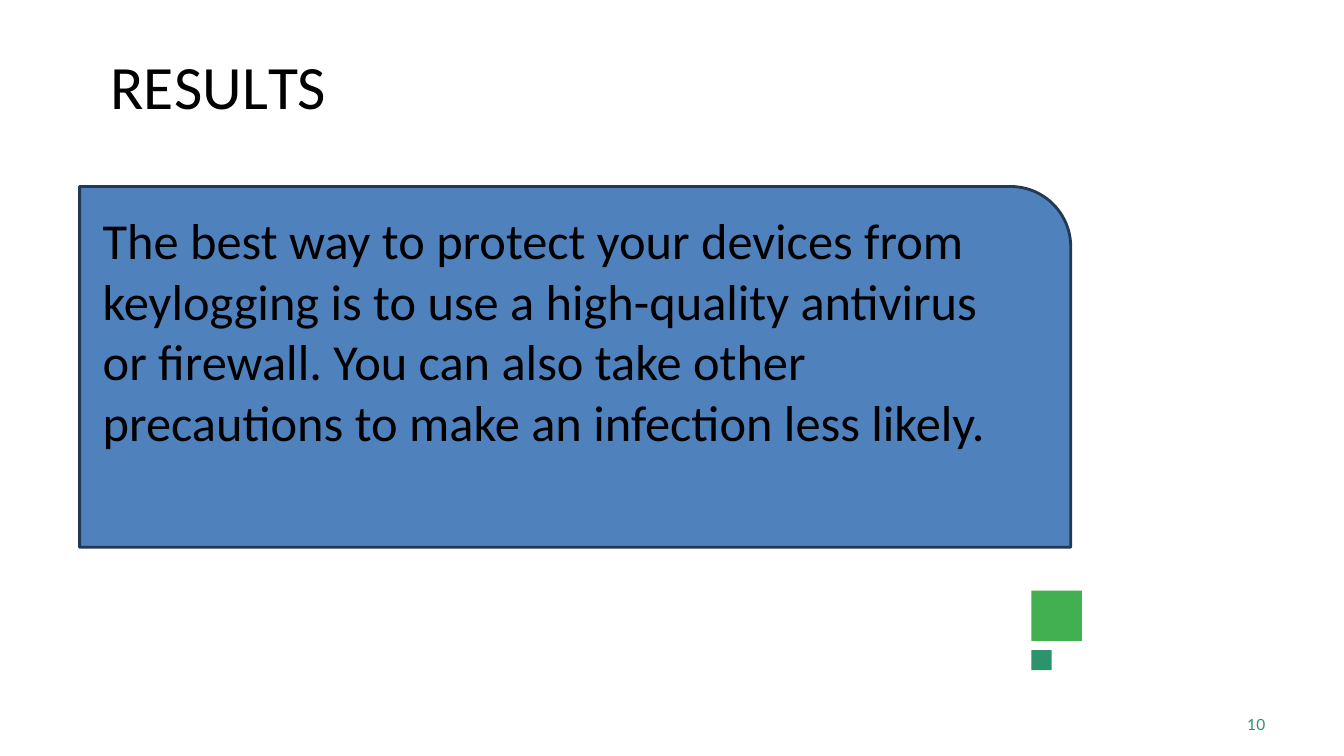
from pptx import Presentation
from pptx.dml.color import RGBColor
from pptx.enum.shapes import MSO_SHAPE
from pptx.enum.text import MSO_ANCHOR, PP_ALIGN
from pptx.util import Inches, Pt

# Content: title runs carry their letter spacing in points
TITLE = [("R", 0), ("E", -0.4), ("S", 0.1), ("U", -0.3), ("L", -4), ("TS", 0)]
BODY = [("The best way to protect your devices from keylogging is to use a "
         "high-quality antivirus or firewall. You can also take other "
         "precautions to make an infection less likely.", 0)]
PAGE = [("10", 0.1)]

# Accent squares: left, top, side, colour
SQUARES = [(10.23, 5.86, 0.5, "42AF51"), (10.23, 6.45, 0.2, "2D936B")]
PANEL = (0.79, 1.85, 9.83, 3.58)


def color(value):
    return RGBColor.from_string(value)


def add_block(kind, box, fill, line=None):
    sp = s.shapes.add_shape(kind, *map(Inches, box))
    sp.shadow.inherit = False
    sp.fill.solid()
    sp.fill.fore_color.rgb = color(fill)
    if line:
        sp.line.color.rgb = color(line)
        sp.line.width = Pt(2)
    else:
        sp.line.fill.background()


def add_text(box, runs, font, size, ink, margins, before=0):
    tf = s.shapes.add_textbox(*map(Inches, box)).text_frame
    tf.word_wrap = True
    tf.margin_left, tf.margin_top, tf.margin_right, tf.margin_bottom = map(Inches, margins)
    p = tf.paragraphs[0]
    p.space_before = Pt(before)
    for text, spacing in runs:
        r = p.add_run()
        r.text = text
        r.font.name = font
        r.font.size = Pt(size)
        r.font.color.rgb = color(ink)
        if spacing:
            r._r.get_or_add_rPr().set("spc", str(round(spacing * 100)))
    return tf


prs = Presentation()
prs.slide_width, prs.slide_height = Inches(13.33), Inches(7.5)
s = prs.slides.add_slide(prs.slide_layouts[6])

# Accent squares
for left, top, side, fill in SQUARES:
    add_block(MSO_SHAPE.RECTANGLE, (left, top, side, side), fill)

# Title and page number
tf = add_text((0.83, 0.42, 2.67, 0.83), TITLE, "Calibri", 44, "000000", (0, 0.01, 0, 0), 1.1)
tf.vertical_anchor = MSO_ANCHOR.MIDDLE
tf.paragraphs[0].alignment = PP_ALIGN.CENTER
add_text((12.33, 7.08, 0.25, 0.21), PAGE, "Lato", 11, "2D936B", (0.04, 0.01, 0, 0), 0.6)

# Result panel
add_block(MSO_SHAPE.ROUND_1_RECTANGLE, PANEL, "4F81BD", "233953")
add_text((0.92, 2.03, 9.51, 3.13), BODY, "Calibri", 36, "000000", (0.1, 0.05, 0.35, 0.05))

prs.save("out.pptx")
